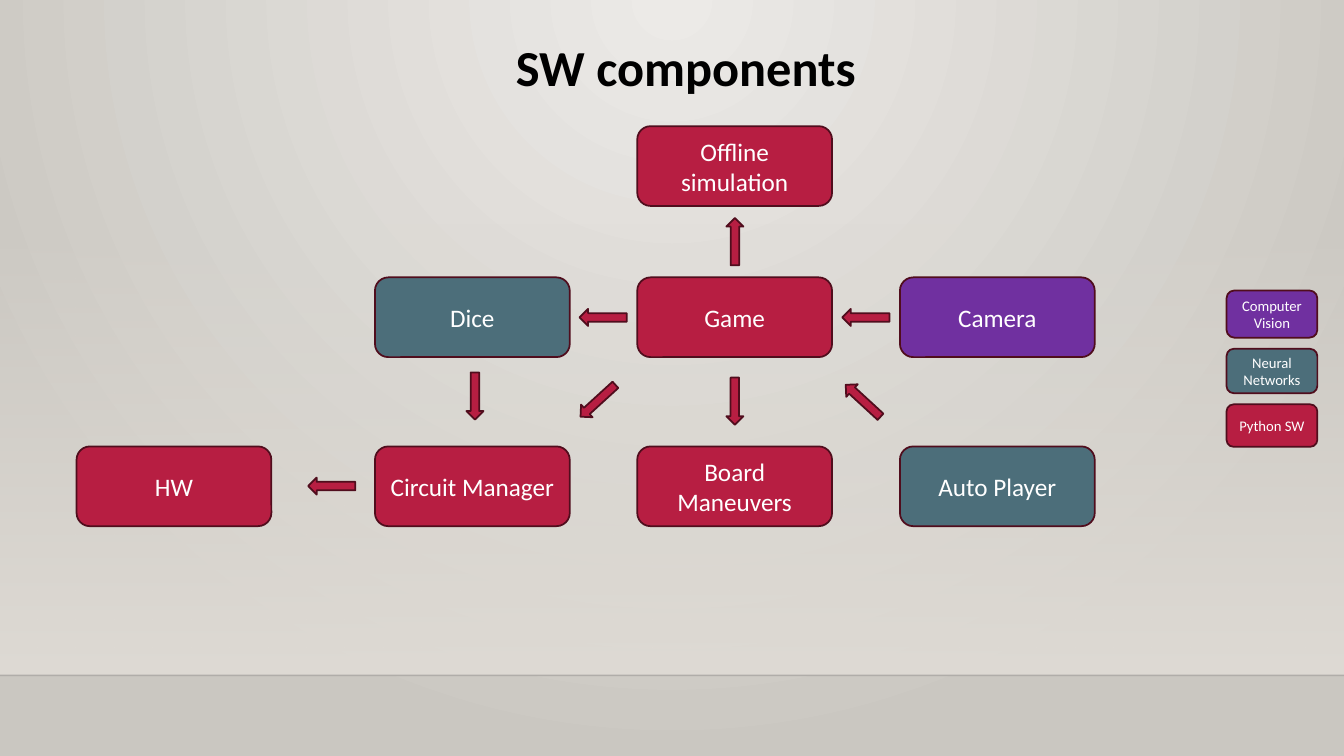
"""Build the slide that maps the software components and their links."""
import pptx
import pptx.dml.color
import pptx.enum.shapes
import pptx.enum.text
import pptx.oxml
import pptx.oxml.ns
import pptx.util

Cm = pptx.util.Cm
Pt = pptx.util.Pt
Shapes = pptx.enum.shapes.MSO_SHAPE
qn = pptx.oxml.ns.qn
DRAWING = pptx.oxml.ns.nsdecls("a")

PYTHON, NETWORK, VISION = "B71E42", "4C6E7A", "7030A0"
WIDTH, HEIGHT = 33.87, 19.05
BOX_WIDTH, BOX_HEIGHT = 4.91, 2.01
ARROW_WIDTH, ARROW_LENGTH = 0.43, 1.19
COLUMNS = [1.93, 9.45, 16.06, 22.68]
ROWS = [3.18, 6.99, 11.25]

COMPONENTS = [
    ("Offline simulation", 2, 0, PYTHON),
    ("Dice", 1, 1, NETWORK),
    ("Game", 2, 1, PYTHON),
    ("Camera", 3, 1, VISION),
    ("HW", 0, 2, PYTHON),
    ("Circuit Manager", 1, 2, PYTHON),
    ("Board Maneuvers", 2, 2, PYTHON),
    ("Auto Player", 3, 2, NETWORK),
]
ARROWS = [
    (18.52, 6.09, 180),
    (15.2, 8, 90),
    (21.82, 8, 90),
    (11.97, 9.98, 0),
    (15.07, 10.1, 47.6),
    (18.52, 10.11, 0),
    (21.75, 10.1, 132.6),
    (8.36, 12.25, 90),
]
LEGEND = [
    ("Computer Vision", 7.32, 1.19, VISION),
    ("Neural Networks", 8.79, 1.12, NETWORK),
    ("Python SW", 10.19, 1.07, PYTHON),
]


def color(value):
    return pptx.dml.color.RGBColor.from_string(value)


def set_alpha(color_element, percent):
    color_element.append(pptx.oxml.parse_xml(f'<a:alpha {DRAWING} val="{percent * 1000}"/>'))


def set_gradient(fill, colors):
    fill.gradient()
    for stop, value in zip(fill.gradient_stops, colors):
        stop.color.rgb = color(value)


def write_text(frame, text, size=18, ink="FFFFFF", bold=False, align="CENTER"):
    paragraph = frame.paragraphs[0]
    paragraph.alignment = getattr(pptx.enum.text.PP_ALIGN, align)
    run = paragraph.add_run()
    run.text = text
    run.font.name = "Calibri"
    run.font.size = Pt(size)
    run.font.bold = bold
    run.font.color.rgb = color(ink)


class ComponentSlide:
    outline = "500D1D"
    outline_width = 1.25

    def __init__(self, presentation):
        self.slide = presentation.slides.add_slide(presentation.slide_layouts[6])

    def backdrop(self):
        set_gradient(self.slide.background.fill, ["ECEAE7", "CAC7C1"])
        gradient = self.slide.element.find(".//" + qn("a:gradFill"))
        gradient.replace(gradient.find(qn("a:lin")), pptx.oxml.parse_xml(
            f'<a:path {DRAWING} path="circle">'
            '<a:fillToRect l="43000" t="0" r="43000" b="100000"/></a:path>'))

    def wall(self, top, bottom):
        shape = self.slide.shapes.add_shape(
            Shapes.RECTANGLE, 0, Cm(top), Cm(WIDTH), Cm(bottom - top))
        shape.shadow.inherit = False
        shape.line.fill.background()
        set_gradient(shape.fill, ["DFDBD5", "DFDBD5"])
        shape.fill.gradient_angle = 270
        set_alpha(shape.element.find(".//" + qn("a:srgbClr")), 0)

    def floor_line(self, top):
        line = self.slide.shapes.add_connector(
            pptx.enum.shapes.MSO_CONNECTOR.STRAIGHT, 0, Cm(top), Cm(WIDTH), Cm(top))
        line.line.width = Pt(1)
        line.line.color.rgb = color("000001")
        set_alpha(line.element.find(".//" + qn("a:srgbClr")), 20)
        line.element.spPr.append(pptx.oxml.parse_xml(f"<a:effectLst {DRAWING}/>"))

    def title(self, text, left, top, width, height):
        box = self.slide.shapes.add_textbox(Cm(left), Cm(top), Cm(width), Cm(height))
        box.text_frame.word_wrap = False
        box.text_frame.auto_size = pptx.enum.text.MSO_AUTO_SIZE.SHAPE_TO_FIT_TEXT
        write_text(box.text_frame, text, size=36, ink="000000", bold=True, align="LEFT")

    def outlined(self, kind, left, top, width, height, fill):
        shape = self.slide.shapes.add_shape(kind, Cm(left), Cm(top), Cm(width), Cm(height))
        shape.shadow.inherit = False
        shape.fill.solid()
        shape.fill.fore_color.rgb = color(fill)
        shape.line.color.rgb = color(self.outline)
        shape.line.width = Pt(self.outline_width)
        return shape

    def box(self, text, left, top, width, height, fill, size=18):
        shape = self.outlined(Shapes.ROUNDED_RECTANGLE, left, top, width, height, fill)
        shape.text_frame.word_wrap = True
        shape.text_frame.vertical_anchor = pptx.enum.text.MSO_ANCHOR.MIDDLE
        write_text(shape.text_frame, text, size=size)

    def arrow(self, center_x, center_y, rotation):
        shape = self.outlined(
            Shapes.DOWN_ARROW, center_x - ARROW_WIDTH / 2, center_y - ARROW_LENGTH / 2,
            ARROW_WIDTH, ARROW_LENGTH, PYTHON)
        shape.rotation = rotation


def main():
    presentation = pptx.Presentation()
    presentation.slide_width = Cm(WIDTH)
    presentation.slide_height = Cm(HEIGHT)
    slide = ComponentSlide(presentation)
    slide.backdrop()
    slide.wall(5.61, 17.02)
    slide.floor_line(17.02)
    slide.title("SW components", 12.75, 0.79, 10.57, 1.8)
    for text, column, row, fill in COMPONENTS:
        slide.box(text, COLUMNS[column], ROWS[row], BOX_WIDTH, BOX_HEIGHT, fill)
    for center_x, center_y, rotation in ARROWS:
        slide.arrow(center_x, center_y, rotation)
    for text, top, height, fill in LEGEND:
        slide.box(text, 30.91, top, 2.29, height, fill, size=10.5)
    presentation.save("out.pptx")


if __name__ == "__main__":
    main()
